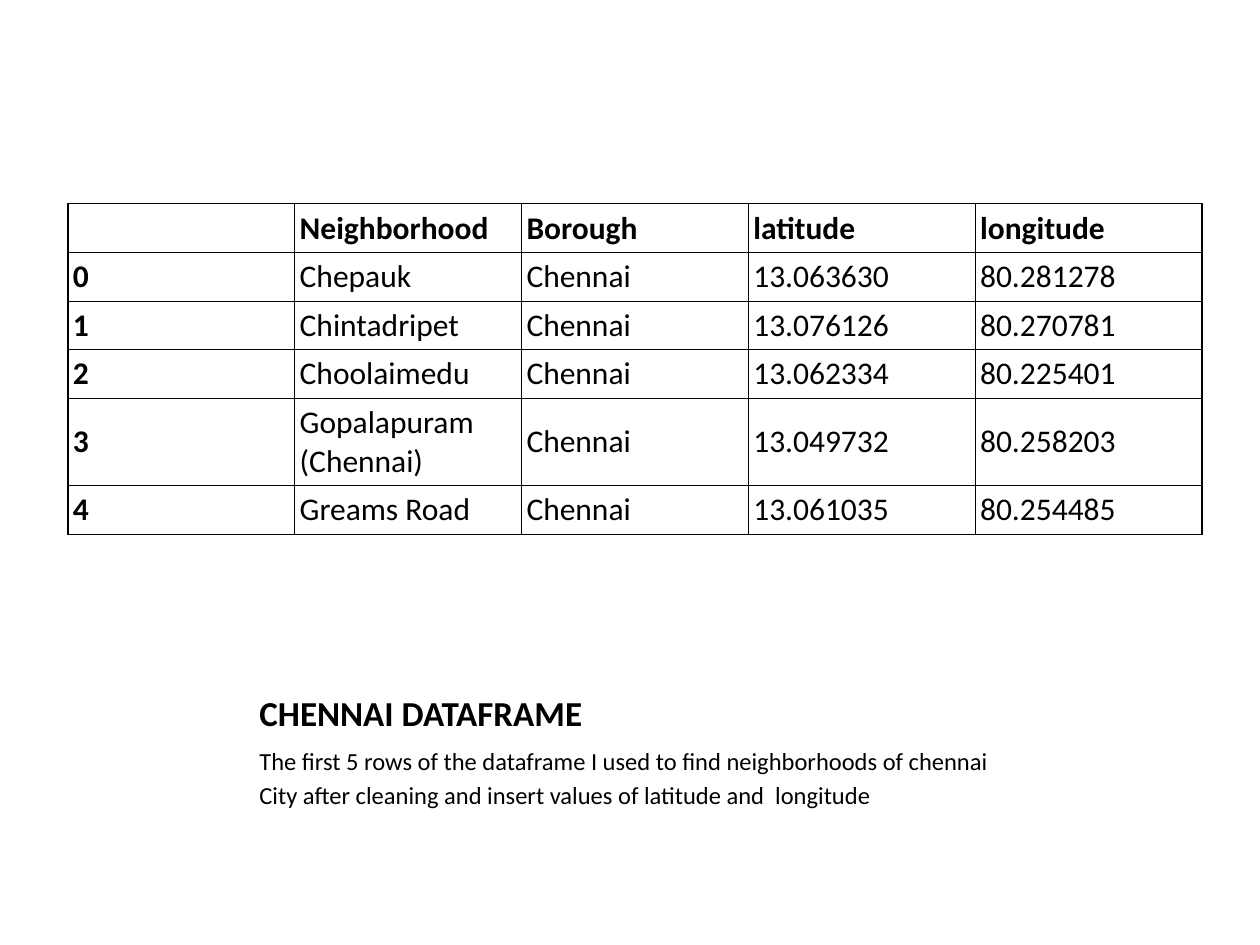
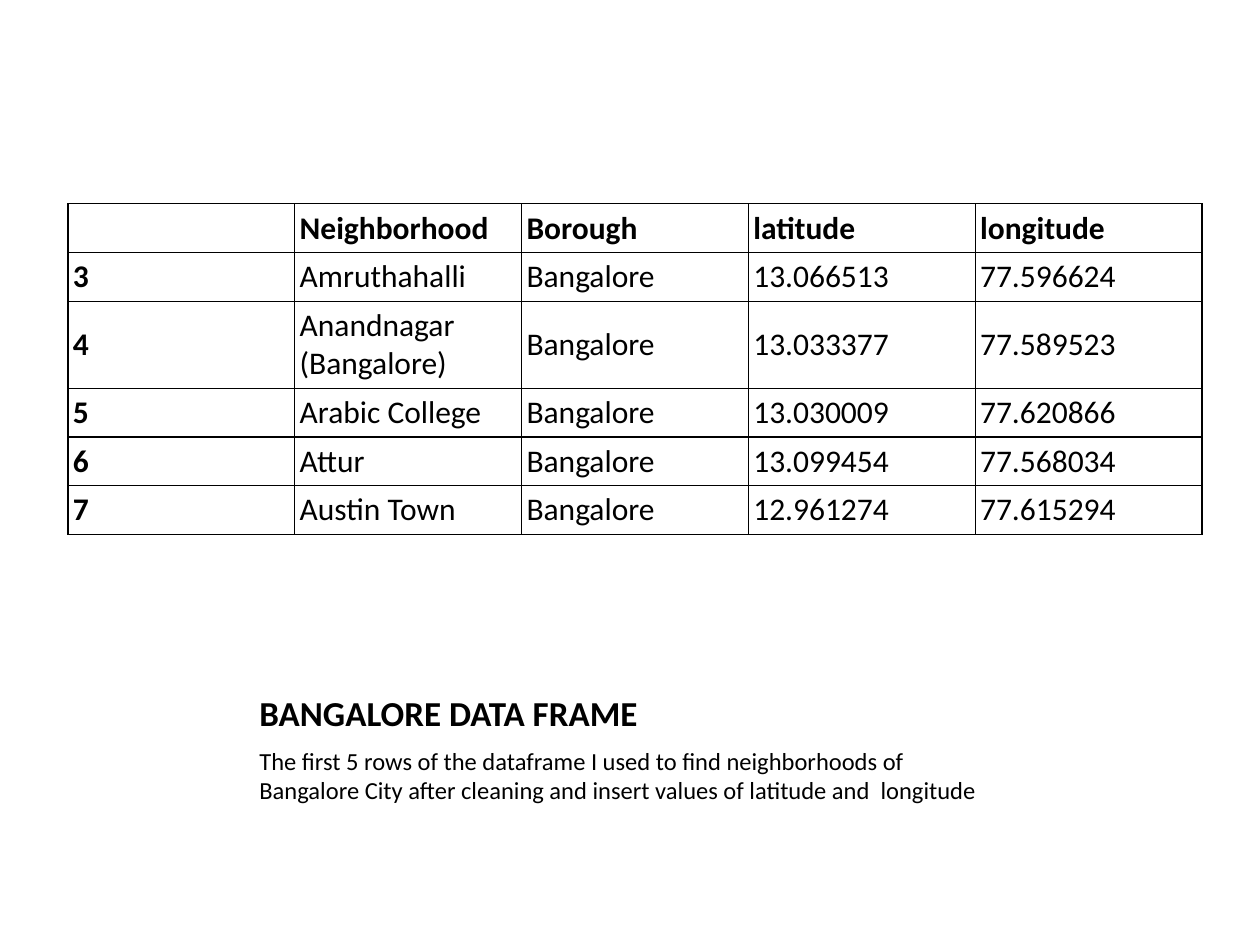
from pptx import Presentation
from pptx.dml.color import RGBColor
from pptx.enum.text import MSO_ANCHOR
from pptx.oxml import parse_xml
from pptx.oxml.ns import nsdecls
from pptx.util import Cm, Pt

COLOURS = {"text": "000000", "border": "000000", "cell": "FFFFFF"}
FONT = "Calibri"
HEADERS = ["", "Neighborhood", "Borough", "latitude", "longitude"]

# Boxes as left, top, width, height in centimetres
TABLE_BOX = (1.37, 4.11, 22.86, 6.66)
CAPTION_BOX = (4.98, 13.34, 15.24, 3.8)
TITLE_HEIGHT = 1.57
ROW_HEIGHT = 0.98
CELL_MARGIN = 0.1


def add_span(para, text, size, bold=False):
    span = para.add_run()
    span.text = text
    span.font.name = FONT
    span.font.size = Pt(size)
    span.font.bold = bold
    span.font.color.rgb = RGBColor.from_string(COLOURS["text"])


def add_borders(cell):
    properties = cell._tc.get_or_add_tcPr()
    # Border lines come before the fill in the cell properties
    for position, side in enumerate(("lnL", "lnR", "lnT", "lnB")):
        properties.insert(position, parse_xml(
            f'<a:{side} {nsdecls("a")} w="{Pt(0.75)}"><a:solidFill>'
            f'<a:srgbClr val="{COLOURS["border"]}"/></a:solidFill></a:{side}>'))


def fill_cell(cell, text, bold):
    cell.fill.solid()
    cell.fill.fore_color.rgb = RGBColor.from_string(COLOURS["cell"])
    cell.vertical_anchor = MSO_ANCHOR.MIDDLE
    cell.margin_left = cell.margin_right = Cm(CELL_MARGIN)
    cell.margin_top = cell.margin_bottom = Cm(CELL_MARGIN)
    if text:
        add_span(cell.text_frame.paragraphs[0], text, 18, bold)
    add_borders(cell)


def add_data_table(page, box, first_index, borough, places):
    left, top, width, height = box
    rows = [HEADERS]
    for index, (name, latitude, longitude) in enumerate(places, first_index):
        rows.append([str(index), name, borough, latitude, longitude])
    table = page.shapes.add_table(len(rows), len(HEADERS), Cm(left), Cm(top),
                                  Cm(width), Cm(height)).table
    table.first_row = table.horz_banding = False
    for column in table.columns:
        column.width = Cm(width / len(HEADERS))
    # The row with a name in brackets takes two lines: it gets what is left
    tall_height = height - ROW_HEIGHT * (len(rows) - 1)
    for r, values in enumerate(rows):
        is_tall = "(" in values[1]
        table.rows[r].height = Cm(tall_height if is_tall else ROW_HEIGHT)
        for c, value in enumerate(values):
            fill_cell(table.cell(r, c), value, bold=r == 0 or c == 0)


def add_text(page, box, lines, size, bold=False, anchor=MSO_ANCHOR.TOP, space=0):
    frame = page.shapes.add_textbox(*(Cm(length) for length in box)).text_frame
    frame.word_wrap = True
    frame.vertical_anchor = anchor
    for number, line in enumerate(lines):
        para = frame.add_paragraph() if number else frame.paragraphs[0]
        para.space_before = Pt(space)
        add_span(para, line, size, bold)


def add_caption(page, box, title, lines):
    left, top, width, height = box
    add_text(page, (left, top, width, TITLE_HEIGHT), [title], 20, bold=True,
             anchor=MSO_ANCHOR.BOTTOM)
    add_text(page, (left, top + TITLE_HEIGHT, width, height - TITLE_HEIGHT),
             lines, 14, space=2.8)


def add_dataframe_page(deck, title, lines, first_index, borough, places):
    page = deck.slides.add_slide(deck.slide_layouts[6])
    add_data_table(page, TABLE_BOX, first_index, borough, places)
    add_caption(page, CAPTION_BOX, title, lines)


deck = Presentation()
deck.slide_width, deck.slide_height = Cm(25.4), Cm(19.05)

# Chennai
add_dataframe_page(
    deck, "CHENNAI DATAFRAME",
    ["The first 5 rows of the dataframe I used to find neighborhoods of chennai",
     "City after cleaning and insert values of latitude and  longitude"],
    0, "Chennai",
    [("Chepauk", "13.063630", "80.281278"),
     ("Chintadripet", "13.076126", "80.270781"),
     ("Choolaimedu", "13.062334", "80.225401"),
     ("Gopalapuram (Chennai)", "13.049732", "80.258203"),
     ("Greams Road", "13.061035", "80.254485")])

# Bangalore
add_dataframe_page(
    deck, "BANGALORE DATA FRAME",
    ["The first 5 rows of the dataframe I used to find neighborhoods of "
     "Bangalore City after cleaning and insert values of latitude and  longitude"],
    3, "Bangalore",
    [("Amruthahalli", "13.066513", "77.596624"),
     ("Anandnagar (Bangalore)", "13.033377", "77.589523"),
     ("Arabic College", "13.030009", "77.620866"),
     ("Attur", "13.099454", "77.568034"),
     ("Austin Town", "12.961274", "77.615294")])

deck.save("out.pptx")
